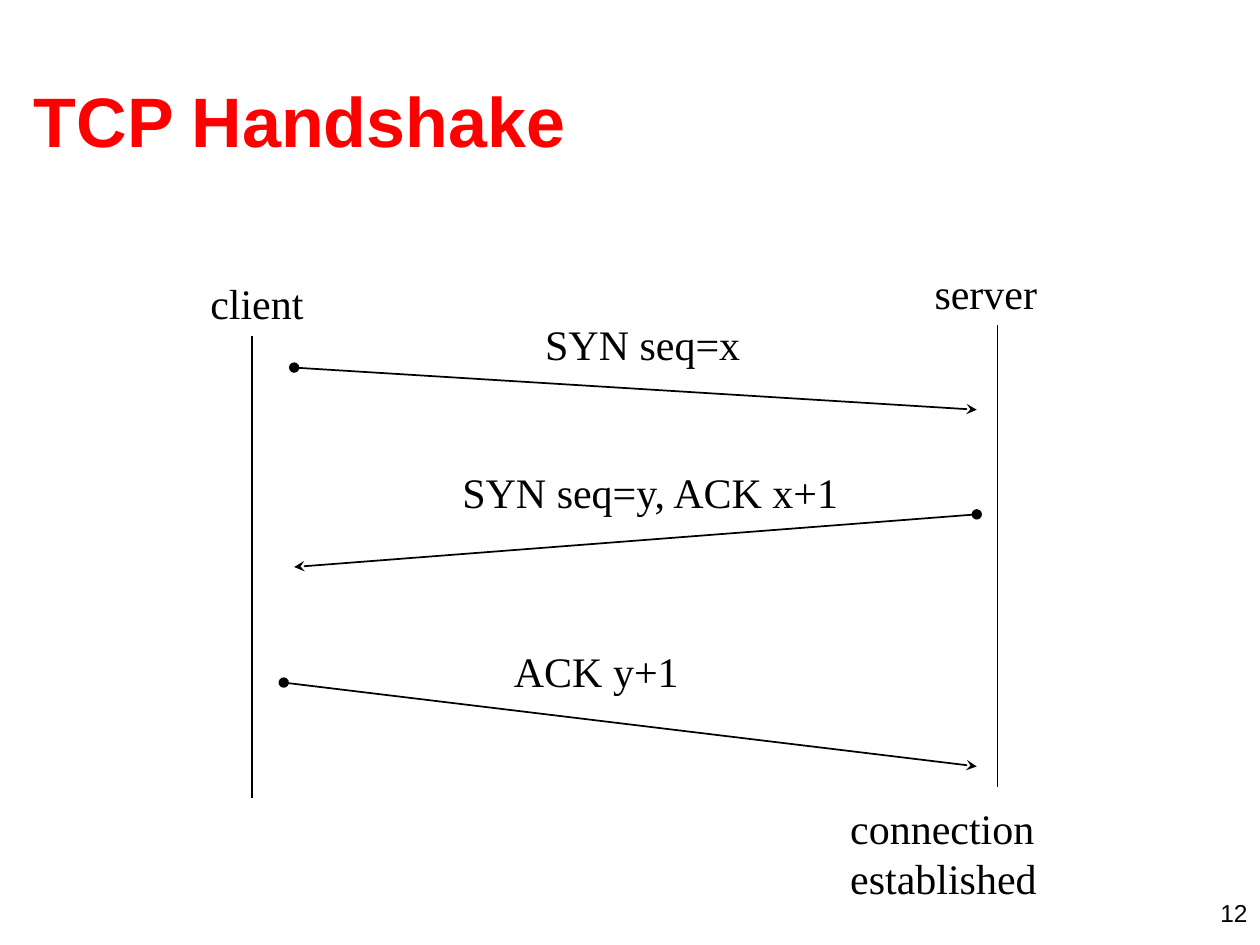
from dataclasses import dataclass

from lxml import etree
from pptx import Presentation
from pptx import util as u
from pptx.dml.color import RGBColor
from pptx.enum import shapes, text
from pptx.oxml.ns import qn


@dataclass(frozen=True)
class Theme:
    title_color: RGBColor = RGBColor(0xFF, 0x00, 0x00)
    ink: RGBColor = RGBColor(0x00, 0x00, 0x00)
    sans: str = "Arial"
    serif: str = "Times New Roman"
    title_size: int = 40
    label_size: int = 24
    number_size: int = 14
    line_width: float = 1


THEME = Theme()
CLIENT_X, SERVER_X = 5.08, 20.11  # lifelines, in cm
LIFELINE_LENGTH = 9.31
SERVER_END_X = 19.69  # where messages meet the server side

# Text, left, top, width, height (cm)
LABELS = [
    ("client", 3.99, 5.46, 2.39, 1.27),
    ("server", 18.59, 5.26, 2.59, 1.27),
    ("SYN seq=x", 10.74, 6.3, 4.45, 1.27),
    ("SYN seq=y, ACK x+1", 9.07, 9.27, 8.2, 1.27),
    ("ACK y+1", 10.11, 12.88, 3.84, 1.27),
    ("connection\nestablished", 16.89, 16.05, 4.27, 2.29),
]

# Start x, start y, end x, end y (cm)
MESSAGES = [
    (5.93, 7.41, SERVER_END_X, 8.26),
    (SERVER_END_X, 10.37, 5.93, 11.43),
    (5.72, 13.76, SERVER_END_X, 15.45),
]


def format_text(tf, font, size, color, bold=False, align=text.PP_ALIGN.LEFT):
    for p in tf.paragraphs:
        p.alignment = align
        for r in p.runs:
            r.font.name = font
            r.font.size = u.Pt(size)
            r.font.bold = bold
            r.font.color.rgb = color


def set_title(s, title):
    sp = s.shapes.title
    sp.left, sp.top, sp.width, sp.height = map(u.Cm, (0.43, 0.81, 24.33, 3.18))
    tf = sp.text_frame
    tf.text = title
    tf.auto_size = text.MSO_AUTO_SIZE.NONE
    tf.vertical_anchor = text.MSO_ANCHOR.MIDDLE
    format_text(tf, THEME.sans, THEME.title_size, THEME.title_color, bold=True)


def add_label(s, label, *box):
    tf = s.shapes.add_textbox(*map(u.Cm, box)).text_frame
    tf.text = label
    tf.word_wrap = False
    tf.auto_size = text.MSO_AUTO_SIZE.SHAPE_TO_FIT_TEXT
    format_text(tf, THEME.serif, THEME.label_size, THEME.ink)


def add_line(s, *ends):
    line = s.shapes.add_connector(shapes.MSO_CONNECTOR.STRAIGHT, *map(u.Cm, ends))
    line.line.color.rgb = THEME.ink
    line.line.width = u.Pt(THEME.line_width)
    etree.SubElement(line._element.spPr, qn("a:effectLst"))
    return line


def add_message(s, *ends):
    ln = add_line(s, *ends).line._get_or_add_ln()
    for tag, kind in (("a:headEnd", "oval"), ("a:tailEnd", "stealth")):
        etree.SubElement(ln, qn(tag), type=kind, w="med", len="med")


def add_page_number(s, number):
    tf = s.shapes.add_textbox(*map(u.Cm, (19.48, 17.98, 5.92, 0.64))).text_frame
    tf.text = number
    tf.word_wrap = True
    format_text(tf, THEME.sans, THEME.number_size, THEME.ink,
                align=text.PP_ALIGN.RIGHT)


def main():
    prs = Presentation()
    prs.slide_width, prs.slide_height = u.Cm(25.4), u.Cm(19.05)
    s = prs.slides.add_slide(prs.slide_layouts[5])
    set_title(s, "TCP Handshake")

    # Client and server lifelines
    for x, top in ((CLIENT_X, 6.77), (SERVER_X, 6.56)):
        add_line(s, x, top, x, top + LIFELINE_LENGTH)

    # Messages between the lifelines
    for ends in MESSAGES:
        add_message(s, *ends)

    # Names, message captions and final state
    for label in LABELS:
        add_label(s, *label)

    add_page_number(s, "12")
    prs.save("out.pptx")


if __name__ == "__main__":
    main()
